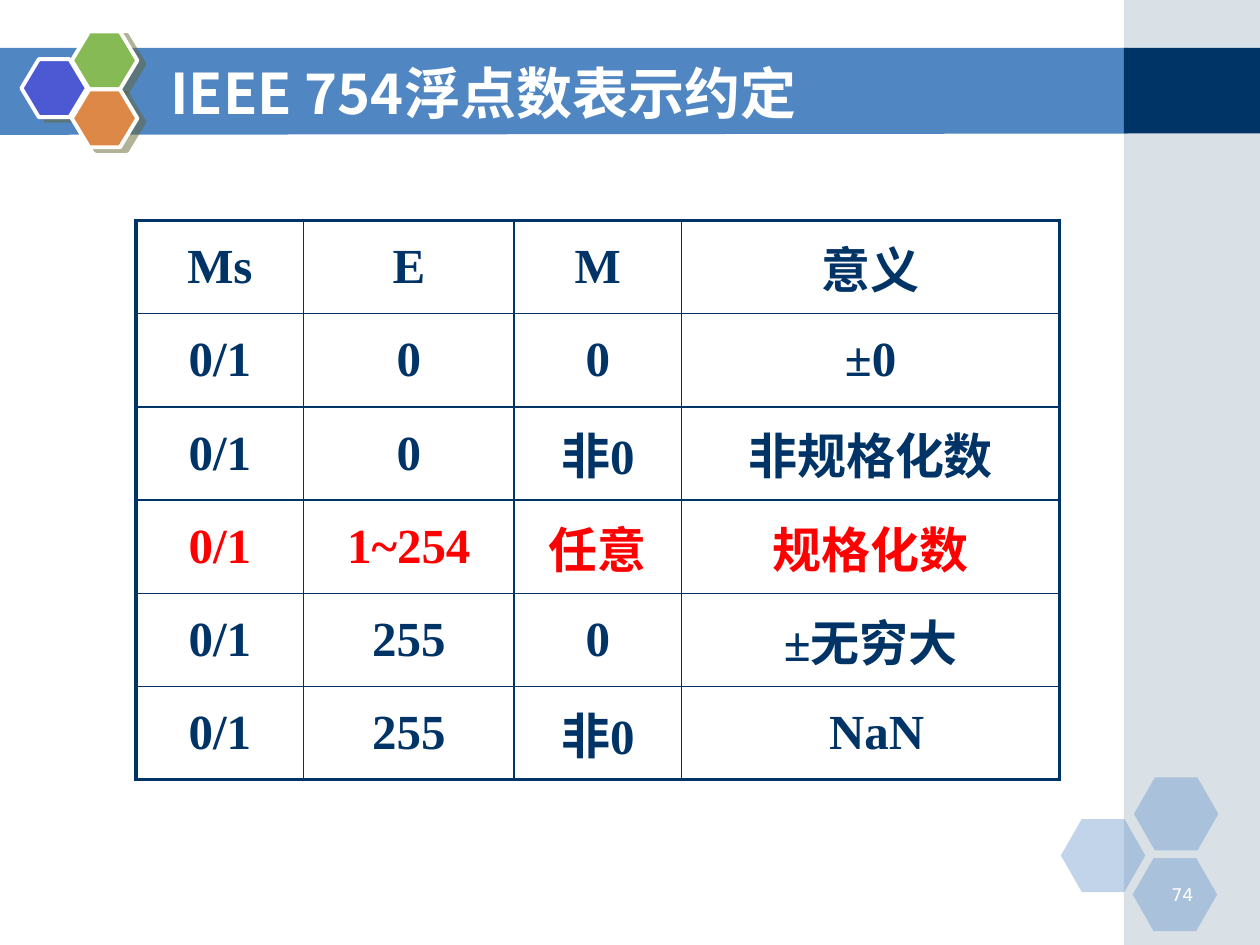
from dataclasses import dataclass

from lxml.etree import SubElement
from pptx import Presentation
from pptx.dml.color import RGBColor
from pptx.enum.shapes import MSO_SHAPE
from pptx.enum.text import MSO_ANCHOR, MSO_AUTO_SIZE, PP_ALIGN
from pptx.oxml.ns import qn
from pptx.util import Inches, Pt


@dataclass(frozen=True)
class Theme:
    band: str = "5086C2"
    navy: str = "003366"
    side: str = "A0B5C4"
    white: str = "FFFFFF"
    highlight: str = "FF0000"
    shadow: str = "666633"
    blue: str = "4C59D2"
    green: str = "85BA54"
    orange: str = "DE8848"
    title_size: float = 32
    table_size: float = 28
    number_size: float = 10
    thin: float = 1
    thick: float = 2.25
    cjk: str = "Noto Sans CJK SC"
    serif: str = "Times New Roman"
    sans: str = "DejaVu Sans"


THEME = Theme()
HEADER = ("Ms", "E", "M", "意义")
CASES = (
    ("0/1", "0", "0", "±0"),
    ("0/1", "0", "非0", "非规格化数"),
    ("0/1", "1~254", "任意", "规格化数"),
    ("0/1", "255", "0", "±无穷大"),
    ("0/1", "255", "非0", " NaN"),
)
NORMALIZED_ROW = 3
COLUMN_WIDTHS = (1.33, 1.67, 1.33, 3)


def add_color(parent, color, opacity=None):
    node = SubElement(parent, qn("a:srgbClr"), val=color)
    if opacity is not None:
        SubElement(node, qn("a:alpha"), val=str(opacity * 1000))


def paint(shape, color, opacity=None):
    shape.shadow.inherit = False
    shape.line.fill.background()
    shape.fill.solid()
    shape.fill.fore_color.rgb = RGBColor.from_string(color)
    if opacity is not None:
        node = shape.fill._xPr.find(qn("a:solidFill"))[0]
        SubElement(node, qn("a:alpha"), val=str(opacity * 1000))


def add_panel(slide, kind, box, color, opacity=None):
    panel = slide.shapes.add_shape(kind, *map(Inches, box))
    paint(panel, color, opacity)
    return panel


def format_text(paragraph, font, size, color, bold=False):
    for run in paragraph.runs:
        run.font.name = font
        run.font.size = Pt(size)
        run.font.bold = bold
        run.font.color.rgb = RGBColor.from_string(color)
        SubElement(run.font._element, qn("a:ea"), typeface=THEME.cjk)


def add_header_band(slide, left, top, right, bottom):
    outline = slide.shapes.build_freeform(Inches(left), Inches(top))
    corners = ((right, top), (right, bottom - 0.01), (left, bottom))
    outline.add_line_segments([(Inches(x), Inches(y)) for x, y in corners])
    paint(outline.convert_to_shape(), THEME.band)


def add_side_panel(slide, left, top, width, height):
    add_panel(slide, MSO_SHAPE.RECTANGLE, (left, top, width, height), THEME.side, 40)
    add_panel(slide, MSO_SHAPE.RECTANGLE, (left, top + 0.38, width, 0.68), THEME.navy)


def add_corner_hexagons(slide, left, top):
    for x, y in ((0, 0.33), (0.58, 0), (0.57, 0.64)):
        box = (left + x, top + y, 0.67, 0.58)
        hexagon = add_panel(slide, MSO_SHAPE.HEXAGON, box, THEME.band, 35)
        hexagon.adjustments[0] = 0.286


def add_emblem(slide, left, top):
    tiles = ((0, 0.22, THEME.blue), (0.4, 0, THEME.green), (0.4, 0.46, THEME.orange))
    for x, y, color in tiles:
        box = (left + x, top + y, 0.52, 0.46)
        hexagon = add_panel(slide, MSO_SHAPE.HEXAGON, box, color)
        hexagon.adjustments[0] = 0.3
        hexagon.line.color.rgb = RGBColor.from_string(THEME.white)
        hexagon.line.width = Pt(THEME.thick)
        effects = hexagon._element.spPr.find(qn("a:effectLst"))
        shadow = SubElement(
            effects, qn("a:outerShdw"), blurRad="0", dist=str(Pt(4.5)),
            dir=str(27 * 60000), algn="ctr", rotWithShape="0",
        )
        add_color(shadow, THEME.shadow, 50)


def place_title(slide, left, top, width, height):
    title = slide.shapes.title
    title.left, title.top, title.width, title.height = map(
        Inches, (left, top, width, height)
    )
    slide.shapes._spTree.append(title._element)
    frame = title.text_frame
    frame.text = "IEEE 754浮点数表示约定"
    frame.auto_size = MSO_AUTO_SIZE.NONE
    frame.vertical_anchor = MSO_ANCHOR.MIDDLE
    frame.paragraphs[0].alignment = PP_ALIGN.LEFT
    format_text(frame.paragraphs[0], THEME.cjk, THEME.title_size, THEME.white, True)


def add_page_number(slide, left, top, width, height):
    frame = slide.shapes.add_textbox(
        *map(Inches, (left, top, width, height))
    ).text_frame
    frame.word_wrap = True
    frame.text = "74"
    frame.paragraphs[0].alignment = PP_ALIGN.RIGHT
    format_text(frame.paragraphs[0], THEME.sans, THEME.number_size, THEME.white)


def border_cell(cell, outer_edges):
    properties = cell._tc.get_or_add_tcPr()
    for side, is_outer in outer_edges.items():
        width = Pt(THEME.thick if is_outer else THEME.thin)
        line = SubElement(properties, qn(f"a:ln{side}"), w=str(width))
        add_color(SubElement(line, qn("a:solidFill")), THEME.navy)


def add_convention_table(slide, left, top, width, height):
    rows = (HEADER, *CASES)
    last_row, last_column = len(rows) - 1, len(HEADER) - 1
    table = slide.shapes.add_table(
        len(rows), len(HEADER), *map(Inches, (left, top, width, height))
    ).table
    table.first_row = table.horz_banding = False
    for column, column_width in zip(table.columns, COLUMN_WIDTHS):
        column.width = Inches(column_width)
    for r, values in enumerate(rows):
        color = THEME.highlight if r == NORMALIZED_ROW else THEME.navy
        for c, value in enumerate(values):
            cell = table.cell(r, c)
            border_cell(
                cell,
                {"L": c == 0, "R": c == last_column, "T": r == 0, "B": r == last_row},
            )
            cell.fill.background()
            cell.vertical_anchor = MSO_ANCHOR.MIDDLE
            paragraph = cell.text_frame.paragraphs[0]
            paragraph.text = value
            paragraph.alignment = PP_ALIGN.CENTER
            paragraph.space_before = Pt(THEME.table_size * 0.2)
            format_text(paragraph, THEME.serif, THEME.table_size, color, True)


def main():
    presentation = Presentation()
    presentation.slide_width = Inches(10)
    presentation.slide_height = Inches(7.5)
    slide = presentation.slides.add_slide(presentation.slide_layouts[5])
    add_header_band(slide, -0.01, 0.38, 8.95, 1.07)
    add_side_panel(slide, 8.92, 0, 1.08, 7.5)
    add_corner_hexagons(slide, 8.42, 6.17)
    add_emblem(slide, 0.17, 0.25)
    place_title(slide, 1.25, 0.42, 7.33, 0.62)
    add_page_number(slide, 9.07, 6.97, 0.5, 0.25)
    add_convention_table(slide, 1.08, 1.75, 7.33, 4.44)
    presentation.save("out.pptx")


if __name__ == "__main__":
    main()
